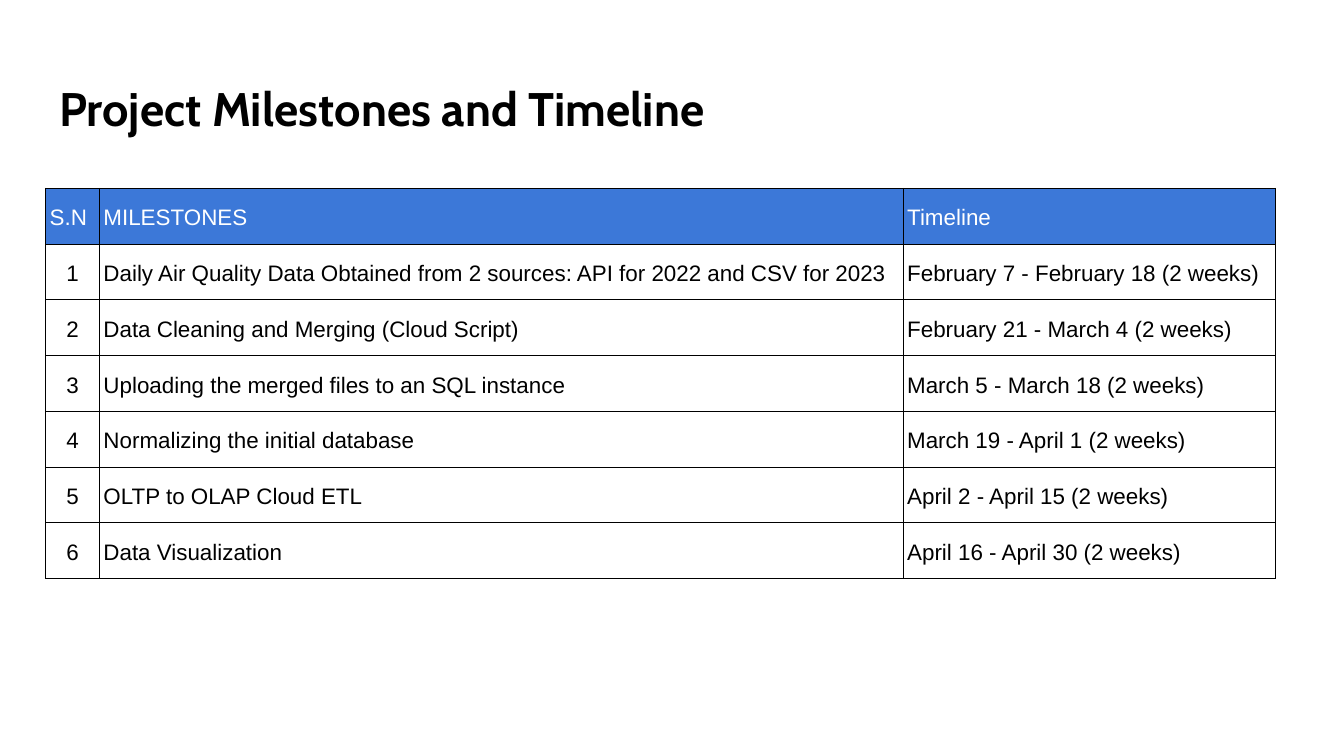
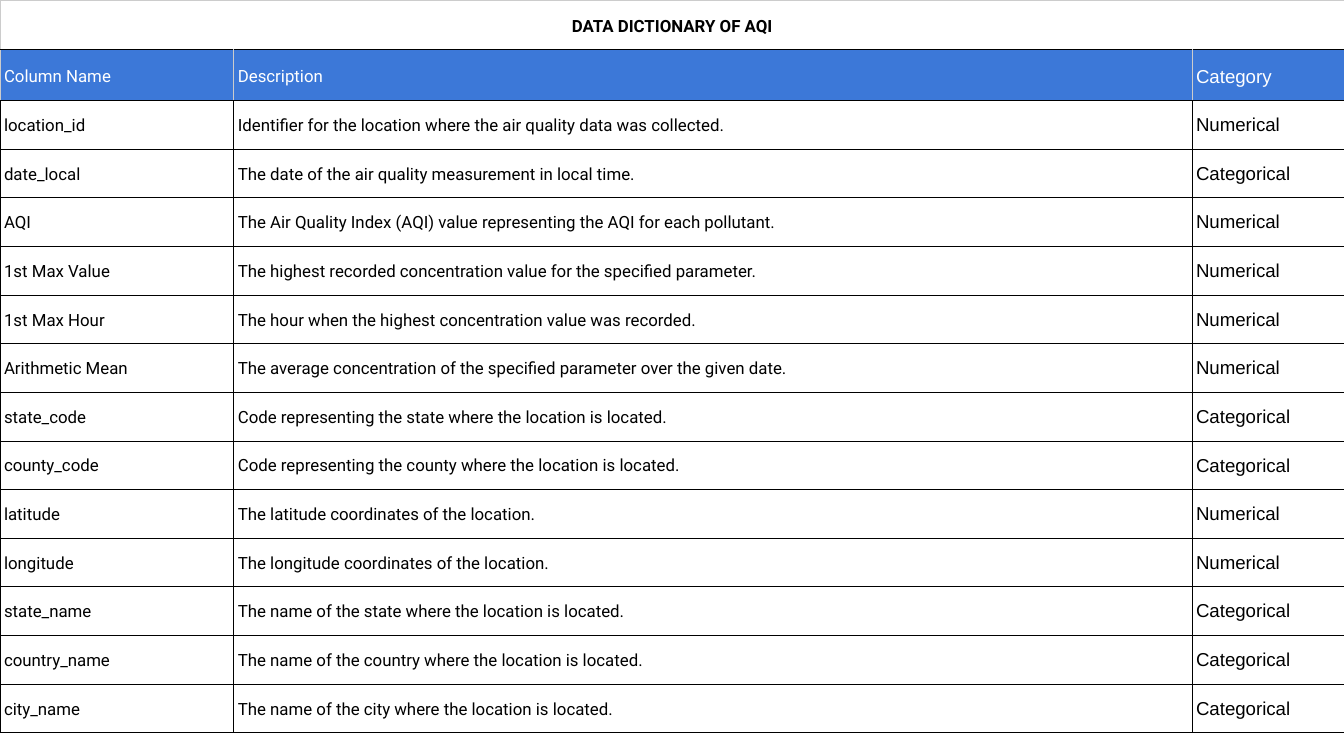
"""Build two slides: project milestones and the AQI data dictionary."""
import pptx
import pptx.dml.color
import pptx.enum.text
import pptx.oxml
import pptx.oxml.ns
import pptx.util

Inches, Pt = pptx.util.Inches, pptx.util.Pt
RGBColor = pptx.dml.color.RGBColor
ALIGN, ANCHOR = pptx.enum.text.PP_ALIGN, pptx.enum.text.MSO_ANCHOR

BLUE = RGBColor(0x3C, 0x78, 0xD8)
BLACK = RGBColor(0, 0, 0)
WHITE = RGBColor(0xFF, 0xFF, 0xFF)
GREY = RGBColor(0xCC, 0xCC, 0xCC)

SLIDE_WIDTH = 10
SLIDE_HEIGHT = SLIDE_WIDTH * 9 / 16
MARGIN = 0.34
BORDER_WIDTH = Pt(0.42)

MILESTONES_TITLE = "Project Milestones and Timeline"
MILESTONE_COLUMNS = [0.4, 5.98, 2.77]
MILESTONE_HEADINGS = ("S.N", "MILESTONES", "Timeline")
MILESTONES = [
    ("Daily Air Quality Data Obtained from 2 sources: API for 2022 and CSV for 2023",
     "February 7 - February 18 (2 weeks)"),
    ("Data Cleaning and Merging (Cloud Script)", "February 21 - March 4 (2 weeks)"),
    ("Uploading the merged files to an SQL instance", "March 5 - March 18 (2 weeks)"),
    ("Normalizing the initial database", "March 19 - April 1 (2 weeks)"),
    ("OLTP to OLAP Cloud ETL", "April 2 - April 15 (2 weeks)"),
    ("Data Visualization", "April 16 - April 30 (2 weeks)"),
]

DICTIONARY_TITLE = "DATA DICTIONARY OF AQI"
DICTIONARY_COLUMNS = [1.74, 7.13, 1.13]
DICTIONARY_HEADINGS = ("Column Name", "Description", "Category")
DICTIONARY = [
    ("location_id", "Identifier for the location where the air quality data was collected.", "Numerical"),
    ("date_local", "The date of the air quality measurement in local time.", "Categorical"),
    ("AQI", "The Air Quality Index (AQI) value representing the AQI for each pollutant.", "Numerical"),
    ("1st Max Value", "The highest recorded concentration value for the specified parameter.", "Numerical"),
    ("1st Max Hour", "The hour when the highest concentration value was recorded.", "Numerical"),
    ("Arithmetic Mean", "The average concentration of the specified parameter over the given date.", "Numerical"),
    ("state_code", "Code representing the state where the location is located.", "Categorical"),
    ("county_code", "Code representing the county where the location is located.", "Categorical"),
    ("latitude", "The latitude coordinates of the location.", "Numerical"),
    ("longitude", "The longitude coordinates of the location.", "Numerical"),
    ("state_name", "The name of the state where the location is located.", "Categorical"),
    ("country_name", "The name of the country where the location is located.", "Categorical"),
    ("city_name", "The name of the city where the location is located.", "Categorical"),
]


def style_font(font, name, size, color, bold=False):
    font.name, font.size, font.bold = name, Pt(size), bold
    font.color.rgb = color


def set_borders(cell, left=BLACK, right=BLACK, top=BLACK, bottom=BLACK):
    properties = cell._tc.get_or_add_tcPr()
    for side, color in zip("LRTB", (left, right, top, bottom)):
        properties.append(pptx.oxml.parse_xml(
            f'<a:ln{side} {pptx.oxml.ns.nsdecls("a")} w="{BORDER_WIDTH}">'
            f'<a:solidFill><a:srgbClr val="{color}"/></a:solidFill></a:ln{side}>'))


def fill_cell(cell, text, font, size, color=BLACK, fill=None, bold=False,
              align=ALIGN.LEFT, spacing=None, anchor=ANCHOR.BOTTOM, borders=None):
    cell.margin_left = cell.margin_right = Inches(0.03)
    cell.margin_top = cell.margin_bottom = Inches(0.1)
    cell.vertical_anchor = anchor
    set_borders(cell, **(borders or {}))
    if fill is None:
        cell.fill.background()
    else:
        cell.fill.solid()
        cell.fill.fore_color.rgb = fill
    paragraph = cell.text_frame.paragraphs[0]
    paragraph.text = text
    paragraph.alignment = align
    if spacing:
        paragraph.line_spacing = spacing
    for run in paragraph.runs:
        style_font(run.font, font, size, color, bold)


def add_grid(slide, left, top, columns, row_count, height):
    grid = slide.shapes.add_table(
        row_count, len(columns), Inches(left), Inches(top),
        Inches(sum(columns)), Inches(height)).table
    grid.first_row = grid.horz_banding = False
    for column, width in zip(grid.columns, columns):
        column.width = Inches(width)
    return grid


def add_milestones(deck):
    slide = deck.slides.add_slide(deck.slide_layouts[5])
    title = slide.shapes.title
    title.left, title.top = Inches(MARGIN), Inches(0.49)
    title.width, title.height = Inches(SLIDE_WIDTH - 2 * MARGIN), Inches(0.63)
    frame = title.text_frame
    frame.text = MILESTONES_TITLE
    frame.auto_size = pptx.enum.text.MSO_AUTO_SIZE.NONE
    frame.vertical_anchor = ANCHOR.TOP
    frame.margin_left = frame.margin_right = Inches(0.1)
    frame.margin_top = frame.margin_bottom = Inches(0.1)
    frame.paragraphs[0].alignment = ALIGN.LEFT
    style_font(frame.paragraphs[0].runs[0].font, "Cabin", 25.2, BLACK, True)

    grid = add_grid(slide, MARGIN, 1.4, MILESTONE_COLUMNS, len(MILESTONES) + 1, 2.9)
    for column, heading in enumerate(MILESTONE_HEADINGS):
        fill_cell(grid.cell(0, column), heading, "Arial", 12, WHITE, BLUE, spacing=1.15)
    for number, (milestone, timeline) in enumerate(MILESTONES, 1):
        for column, (text, align, anchor) in enumerate([
                (str(number), ALIGN.CENTER, ANCHOR.BOTTOM),
                (milestone, ALIGN.LEFT, ANCHOR.BOTTOM),
                (timeline, ALIGN.LEFT, ANCHOR.TOP)]):
            fill_cell(grid.cell(number, column), text, "Arial", 12,
                      align=align, anchor=anchor, spacing=1.15)


def add_dictionary(deck):
    slide = deck.slides.add_slide(deck.slide_layouts[6])
    grid = add_grid(slide, 0, 0, DICTIONARY_COLUMNS, len(DICTIONARY) + 2, 5.43)
    grid.cell(0, 0).merge(grid.cell(0, len(DICTIONARY_COLUMNS) - 1))
    grey_sides = {"left": GREY, "right": GREY}
    for column in range(len(DICTIONARY_COLUMNS)):
        fill_cell(grid.cell(0, column), "" if column else DICTIONARY_TITLE, "Roboto", 9,
                  fill=WHITE, bold=True, align=ALIGN.CENTER, spacing=1.15,
                  borders={**grey_sides, "top": GREY})
    fonts = [("Roboto", 9), ("Roboto", 9), ("Arial", 10)]
    for column, (heading, (font, size)) in enumerate(zip(DICTIONARY_HEADINGS, fonts)):
        fill_cell(grid.cell(1, column), heading, font, size, WHITE, BLUE,
                  spacing=1.15, borders=grey_sides)
    for row, entry in enumerate(DICTIONARY, 2):
        for column, (text, (font, size)) in enumerate(zip(entry, fonts)):
            fill_cell(grid.cell(row, column), text, font, size)


def main():
    deck = pptx.Presentation()
    deck.slide_width, deck.slide_height = Inches(SLIDE_WIDTH), Inches(SLIDE_HEIGHT)
    add_milestones(deck)
    add_dictionary(deck)
    deck.save("out.pptx")


if __name__ == "__main__":
    main()
